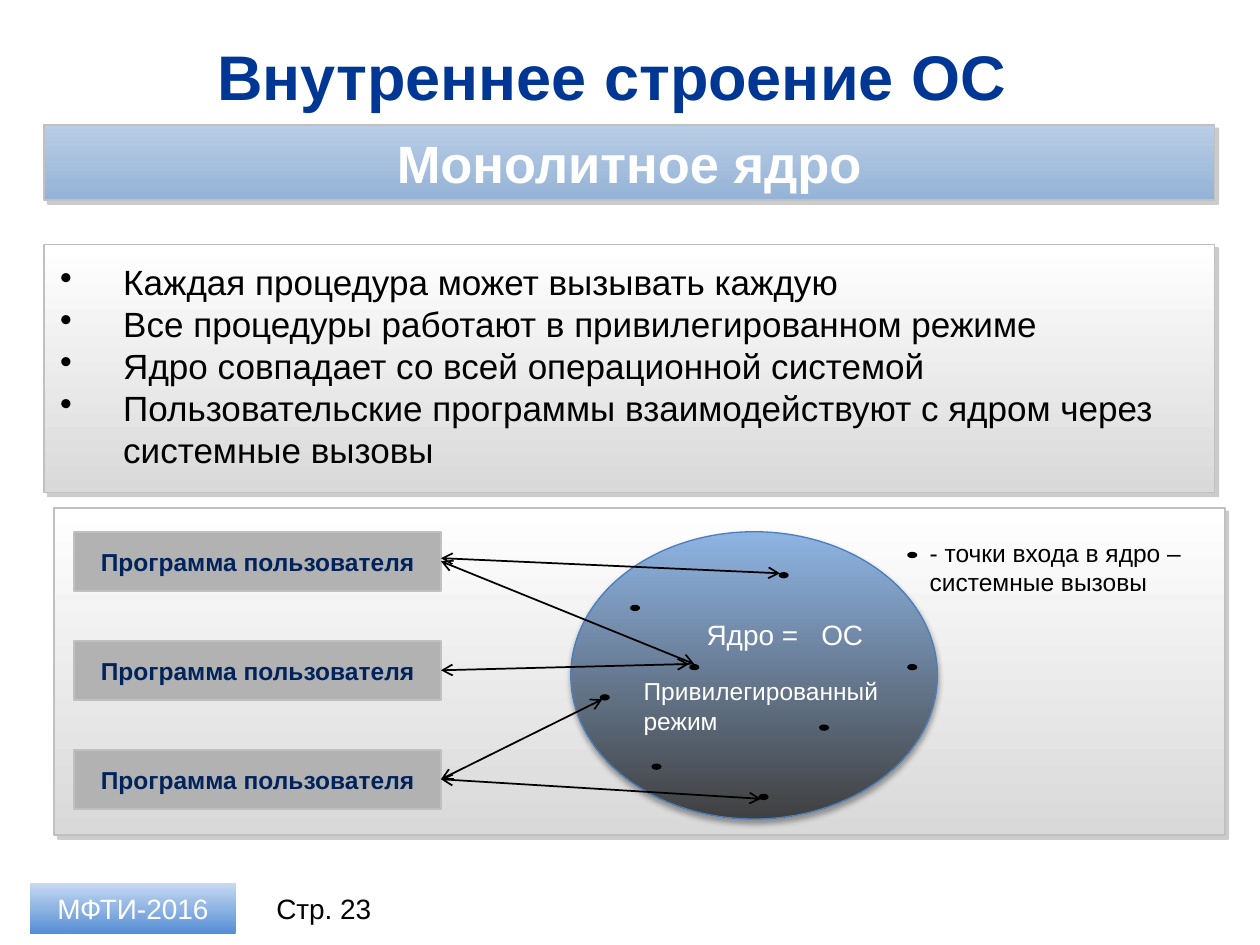
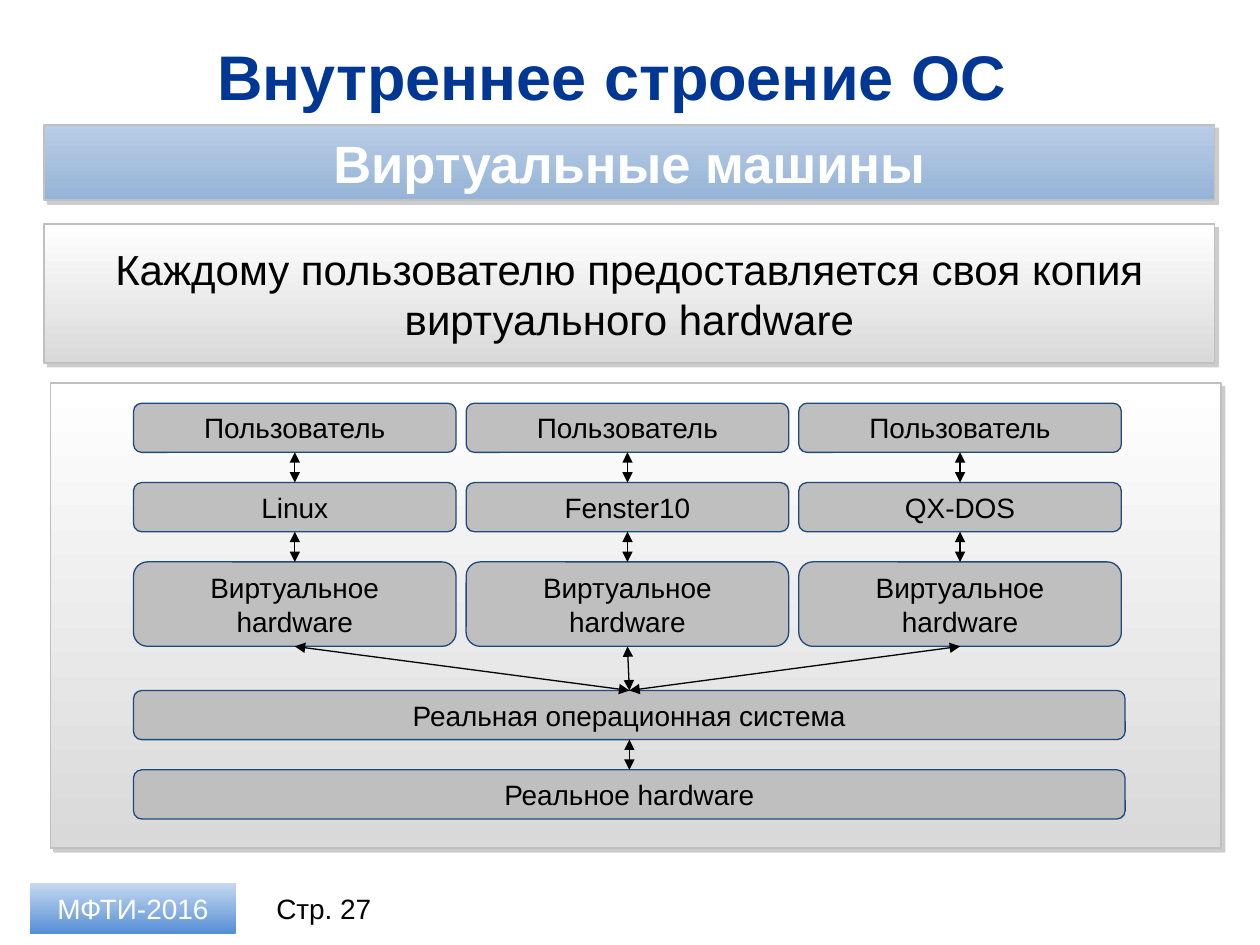
from dataclasses import dataclass

from lxml import etree
from pptx import Presentation
from pptx import util as u
from pptx.dml.color import RGBColor
from pptx.enum import shapes, text
from pptx.oxml.ns import qn

WIDTH, HEIGHT = u.Inches(10), u.Inches(7.5)
COLUMNS, ROWS = 100, 75
FONT = "Arial"
COLORS = {
    "title": "003794", "white": "FFFFFF", "black": "000000", "panel_end": "D9D9D9",
    "edge": "C0C0C0", "band_start": "B9CDE5", "band_end": "95B3D7",
    "badge_dark": "558ED5", "sky": "8EB4E3", "badge_light": "C6D9F1",
    "program": "B2B2B2", "program_text": "00235C", "kernel_end": "404040",
    "kernel_edge": "4B7EBC", "layer": "BFBFBF", "layer_edge": "1F497D", "shade": "808080",
}
PANEL_FILL = ["white", "panel_end"]
PANEL_SHADOW = ("shade", 40, 0, 3, 45)
PANEL_INSETS = (2.4, 0.4, 2.4, 0.4)
TEXT_INSETS = (1, 0.5, 1, 0.5)


def x(columns):
    return round(WIDTH * columns / COLUMNS)


def y(rows):
    return round(HEIGHT * rows / ROWS)


def color(name):
    return RGBColor.from_string(COLORS[name])


@dataclass
class Box:
    left: float
    top: float
    width: float
    height: float

    def inner(self, left, top, width, height):
        return Box(self.left + left, self.top + top, width, height)

    def point(self, left, top):
        return x(self.left + left), y(self.top + top)

    def emu(self):
        return x(self.left), y(self.top), x(self.width), y(self.height)


TITLE = Box(3.5, 2.6, 92.9, 6.8)
BAND = Box(3.5, 9.9, 92.9, 6)
FOOTER = Box(2.4, 70.1, 28.7, 4)


def add_element(parent, tag, **attributes):
    return etree.SubElement(parent, qn(tag), {k: str(v) for k, v in attributes.items()})


def add_color(parent, name):
    return add_element(parent, "a:srgbClr", val=COLORS[name])


def set_gradient(shape, names, angle):
    shape.fill.gradient()
    gradient = shape._element.spPr.find(qn("a:gradFill"))
    stops = gradient.find(qn("a:gsLst"))
    for stop in list(stops):
        stops.remove(stop)
    for index, name in enumerate(names):
        position = 100000 * index // (len(names) - 1)
        add_color(add_element(stops, "a:gs", pos=position), name)
    gradient.find(qn("a:lin")).set("ang", str(angle * 60000))


def set_shadow(shape, name, alpha, blur, distance, direction):
    effects = shape._element.spPr.find(qn("a:effectLst"))
    shadow = add_element(effects, "a:outerShdw", blurRad=u.Pt(blur), dist=u.Pt(distance),
                         dir=direction * 60000, algn="ctr", rotWithShape=0)
    add_element(add_color(shadow, name), "a:alpha", val=alpha * 1000)


def add_figure(slide, box, fill, kind=shapes.MSO_SHAPE.RECTANGLE, edge=None,
               weight=1, shadow=None, angle=90):
    figure = slide.shapes.add_shape(kind, *box.emu())
    figure.shadow.inherit = False
    if isinstance(fill, list):
        set_gradient(figure, fill, angle)
    else:
        figure.fill.solid()
        figure.fill.fore_color.rgb = color(fill)
    if edge:
        figure.line.color.rgb = color(edge)
        figure.line.width = u.Pt(weight)
    else:
        figure.line.fill.background()
    if shadow:
        set_shadow(figure, *shadow)
    return figure


def add_panel(slide, box, fill=PANEL_FILL):
    return add_figure(slide, box, fill, edge="edge", shadow=PANEL_SHADOW)


def write(shape, wording, size, ink, bold=False, centred=True, insets=TEXT_INSETS,
          wrap=True, bullets=False):
    frame = shape.text_frame
    frame.text = wording
    frame.word_wrap = wrap
    frame.vertical_anchor = text.MSO_ANCHOR.MIDDLE if centred else text.MSO_ANCHOR.TOP
    left, top, right, bottom = insets
    frame.margin_left, frame.margin_right = x(left), x(right)
    frame.margin_top, frame.margin_bottom = y(top), y(bottom)
    for paragraph in frame.paragraphs:
        paragraph.alignment = text.PP_ALIGN.CENTER if centred else text.PP_ALIGN.LEFT
        if bullets:
            properties = paragraph._p.get_or_add_pPr()
            properties.set("marL", str(x(5)))
            properties.set("indent", str(-x(5)))
            add_element(properties, "a:buChar", char="•")
        for line_break in paragraph._p.findall(qn("a:br")):
            add_element(line_break, "a:rPr", sz=size * 100)
        for run in paragraph.runs:
            run.font.name = FONT
            run.font.size = u.Pt(size)
            run.font.bold = bold
            run.font.color.rgb = color(ink)


def add_label(slide, box, wording, size, ink, **style):
    write(slide.shapes.add_textbox(*box.emu()), wording, size, ink, **style)


def add_arrow(slide, start, end, head, weight):
    arrow = slide.shapes.add_connector(shapes.MSO_CONNECTOR.STRAIGHT, *start, *end)
    arrow.line.color.rgb = color("black")
    arrow.line.width = u.Pt(weight)
    properties = arrow._element.spPr
    outline = properties.find(qn("a:ln"))
    for tip in ("a:headEnd", "a:tailEnd"):
        add_element(outline, tip, type=head)
    add_element(properties, "a:effectLst")
    return arrow


def join_layers(slide, upper, lower):
    arrow = add_arrow(slide, (0, 0), (0, 0), "triangle", 0.75)
    arrow.begin_connect(upper, 2)
    arrow.end_connect(lower, 0)


def add_footer(slide, box, page):
    badge = add_figure(slide, box.inner(0, 0, 16.3, box.height),
                       ["badge_dark", "sky", "badge_light"], angle=270)
    write(badge, "МФТИ-2016", 16, "white")
    add_label(slide, box.inner(17.9, 0, 10.8, box.height), f"Стр. {page}", 16, "black")


def start_slide(deck, topic, page):
    slide = deck.slides.add_slide(deck.slide_layouts[6])
    add_label(slide, TITLE, "Внутреннее строение ОС", 36, "title", bold=True,
              insets=(1, 0.5, 3.8, 0.5))
    band = add_panel(slide, BAND, ["band_start", "band_end"])
    write(band, topic, 30, "white", bold=True, insets=PANEL_INSETS)
    add_footer(slide, FOOTER, page)
    return slide


def add_features(slide, box, features):
    add_panel(slide, box)
    add_label(slide, box.inner(0.3, 0.8, box.width - 0.2, 17.8), "\n".join(features),
              20, "black", centred=False, bullets=True)


def add_kernel(slide, box):
    add_figure(slide, box, ["sky", "kernel_end"], shapes.MSO_SHAPE.OVAL,
               "kernel_edge", 0.75, ("black", 35, 3.1, 1.8, 90))
    captions = [
        (9.8, 6.3, 10.7, 3.7, "Ядро =", 16),
        (18.9, 6.3, 6.3, 3.7, "ОС", 16),
        (4.8, 11, 22.7, 5.7, "Привилегированный режим", 14),
    ]
    for left, top, width, height, wording, size in captions:
        add_label(slide, box.inner(left, top, width, height), wording, size, "white",
                  centred=False)


def add_kernel_scheme(slide, box):
    add_panel(slide, box)
    programs = []
    for row in range(3):
        program = add_figure(slide, box.inner(1.6, 1.9 + 8.65 * row, 29.1, 4.7),
                             "program", edge="edge")
        write(program, "Программа пользователя", 14, "program_text", bold=True,
              insets=(0, 0, 0, 0))
        programs.append(program)

    add_kernel(slide, box.inner(41, 1.9, 29.1, 22.8))
    entry_points = [(45.7, 7.7), (57.5, 5.1), (47.4, 20.3), (50.4, 12.4), (43.3, 14.8),
                    (55.9, 22.7), (67.7, 12.4), (60.7, 17.2), (67.7, 3.5)]
    for left, top in entry_points:
        add_figure(slide, box.inner(left, top, 0.8, 0.5), "black", shapes.MSO_SHAPE.OVAL)
    add_label(slide, box.inner(68.5, 1.9, 22, 5.7),
              "- точки входа в ядро –\vсистемные вызовы", 14, "black", centred=False)

    add_arrow(slide, box.point(30.7, 4), box.point(57.6, 5.2), "arrow", 1)
    calls = [(0, 50.8, 12.4), (1, 50.4, 12.4), (2, 43.5, 15.2), (2, 56.1, 23.1)]
    for row, left, top in calls:
        call = add_arrow(slide, box.point(30.7, 4), box.point(left, top), "arrow", 1)
        call.begin_connect(programs[row], 3)


def add_layer(slide, box, wording):
    layer = add_figure(slide, box, "layer", shapes.MSO_SHAPE.ROUNDED_RECTANGLE,
                       "layer_edge", 0.75)
    write(layer, wording, 16, "black", wrap=False)
    return layer


def add_machine_scheme(slide, box):
    add_panel(slide, box)
    host_system, host_hardware = [
        add_layer(slide, box.inner(6.6, top, 78.7, 3.9), wording)
        for top, wording in ((24.4, "Реальная операционная система"),
                             (30.7, "Реальное hardware"))
    ]
    for column, guest in enumerate(("Linux", "Fenster10", "QX-DOS")):
        left = 6.6 + 26.4 * column
        stack = [
            add_layer(slide, box.inner(left, 1.6 + 6.3 * row, 25.6, height), wording)
            for row, (wording, height) in enumerate((
                ("Пользователь", 3.9), (guest, 3.9), ("Виртуальное\vhardware", 6.7)))
        ]
        for upper, lower in zip(stack, stack[1:] + [host_system]):
            join_layers(slide, upper, lower)
    join_layers(slide, host_system, host_hardware)


def build_monolithic_kernel(deck):
    slide = start_slide(deck, "Монолитное ядро", 23)
    add_features(slide, Box(3.5, 19.4, 92.9, 19.7), [
        "Каждая процедура может вызывать каждую",
        "Все процедуры работают в привилегированном режиме",
        "Ядро совпадает со всей операционной системой",
        "Пользовательские программы взаимодействуют с ядром через системные вызовы",
    ])
    add_kernel_scheme(slide, Box(4.3, 40.3, 92.9, 26))


def build_virtual_machines(deck):
    slide = start_slide(deck, "Виртуальные машины", 27)
    summary = add_panel(slide, Box(3.5, 17.8, 92.9, 11))
    write(summary, "Каждому пользователю предоставляется своя копия виртуального hardware",
          24, "black", insets=PANEL_INSETS)
    add_machine_scheme(slide, Box(4, 30.4, 92.9, 36.9))


def main():
    deck = Presentation()
    deck.slide_width, deck.slide_height = WIDTH, HEIGHT
    build_monolithic_kernel(deck)
    build_virtual_machines(deck)
    deck.save("out.pptx")


if __name__ == "__main__":
    main()
